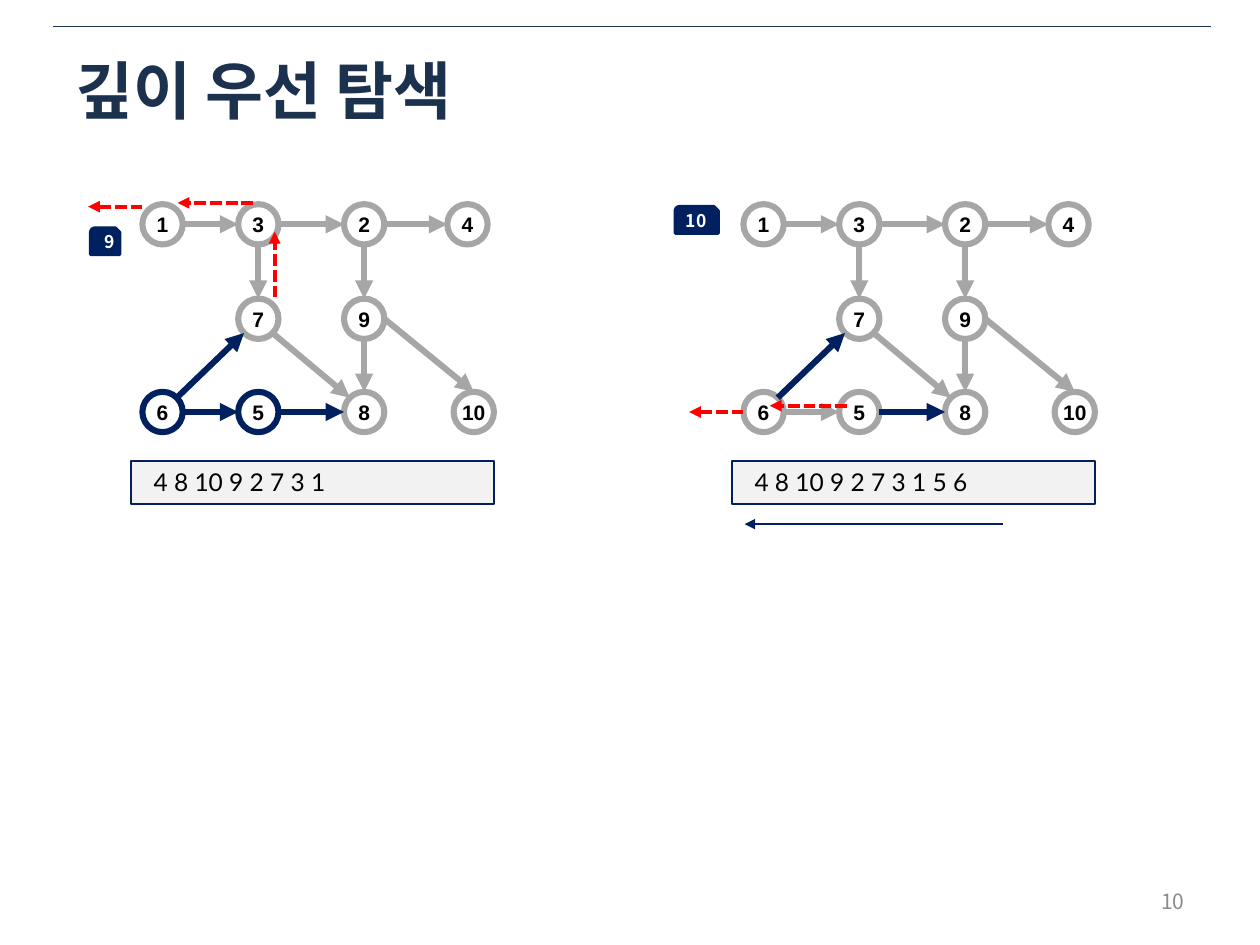
from math import hypot

from lxml import etree
from pptx import Presentation
from pptx import util as u
from pptx.dml.color import RGBColor
from pptx.enum import dml, shapes, text
from pptx.oxml.ns import qn

COLORS = {
    "title": "1C314E", "navy": "002060", "gray": "A6A6A6", "red": "FF0000",
    "box": "F2F2F2", "number": "8C8C8C", "black": "000000", "white": "FFFFFF",
}
KOREAN = "Noto Sans CJK KR"
RADIUS = 0.16

# Node centres
COLUMNS = (1.29, 2.05, 2.89)
ROWS = (1.78, 2.53, 3.27)
NODES = {
    "3": (COLUMNS[1], ROWS[0]), "7": (COLUMNS[1], ROWS[1]),
    "9": (COLUMNS[2], ROWS[1]), "1": (COLUMNS[0], ROWS[0]),
    "4": (3.71, ROWS[0]), "2": (COLUMNS[2], ROWS[0]),
    "5": (COLUMNS[1], ROWS[2]), "6": (COLUMNS[0], ROWS[2]),
    "10": (3.76, ROWS[2]), "8": (COLUMNS[2], ROWS[2]),
}
# Each edge leaves and enters a circle on the given side
EAST, WEST, NORTH, SOUTH = (1, 0), (-1, 0), (0, -1), (0, 1)
EDGES = [
    ("3", EAST, "2", WEST), ("2", EAST, "4", WEST), ("1", EAST, "3", WEST),
    ("3", SOUTH, "7", NORTH), ("2", SOUTH, "9", NORTH),
    ("6", (1, -1), "7", (-1, 1)), ("6", EAST, "5", WEST),
    ("7", (1, 1), "8", (-1, -1)), ("9", EAST, "10", NORTH),
    ("5", EAST, "8", WEST), ("9", SOUTH, "8", NORTH),
]
# The two steps of the search; positions are relative to the graph
STEPS = [
    {
        "left": 0, "label": "9", "badge": (0.72, 1.81, 0.23, 0.21), "inset": 0.1,
        "order": "4 8 10 9 2 7 3 1",
        "navy_nodes": {"5", "6"}, "navy_edges": {"67", "65", "58"},
        "returns": [((2.18, 2.36), (2.18, 1.84)), ((2.01, 1.61), (1.41, 1.61)),
                    ((1.13, 1.64), (0.7, 1.64))],
    },
    {
        "left": 4.77, "label": "10", "badge": (0.59, 1.64, 0.34, 0.21), "inset": 0.04,
        "order": "4 8 10 9 2 7 3 1 5 6",
        "navy_nodes": set(), "navy_edges": {"67", "58"},
        "returns": [((1.95, 3.22), (1.34, 3.22)), ((1.13, 3.27), (0.7, 3.27))],
    },
]


class Canvas:
    def __init__(self, slide):
        self.slide = slide

    def color(self, name):
        return RGBColor.from_string(COLORS[name])

    def add_words(self, shape, words, size, font, color, bold=False,
                  align=text.PP_ALIGN.LEFT, anchor=text.MSO_ANCHOR.MIDDLE, inset=0.1):
        frame = shape.text_frame
        frame.word_wrap = True
        frame.vertical_anchor = anchor
        frame.margin_left = frame.margin_right = u.Inches(inset)
        paragraph = frame.paragraphs[0]
        paragraph.alignment = align
        run = paragraph.add_run()
        run.text = words
        run.font.size = u.Pt(size)
        run.font.bold = bold
        run.font.name = font
        run.font.color.rgb = self.color(color)
        etree.SubElement(run.font._element, qn("a:ea")).set("typeface", font)
        return paragraph

    def label(self, box, *words, **style):
        shape = self.slide.shapes.add_textbox(*map(u.Inches, box))
        self.add_words(shape, *words, **style)

    def shape(self, kind, box, fill, line, width, parent=None):
        shape = (parent or self.slide).shapes.add_shape(kind, *map(u.Inches, box))
        shape.shadow.inherit = False
        if fill:
            shape.fill.solid()
            shape.fill.fore_color.rgb = self.color(fill)
        else:
            shape.fill.background()
        shape.line.color.rgb = self.color(line)
        shape.line.width = u.Pt(width)
        return shape

    def line(self, start, end, color, width, arrow=True, dashed=False, parent=None):
        connector = (parent or self.slide).shapes.add_connector(
            shapes.MSO_CONNECTOR.STRAIGHT, *map(u.Inches, (*start, *end)))
        connector.line.color.rgb = self.color(color)
        connector.line.width = u.Pt(width)
        if dashed:
            connector.line.dash_style = dml.MSO_LINE.SQUARE_DOT
        properties = connector._element.spPr
        if arrow:
            etree.SubElement(properties.find(qn("a:ln")), qn("a:tailEnd")).set("type", "triangle")
        etree.SubElement(properties, qn("a:effectLst"))

    def node(self, group, name, center, color):
        x, y = center
        box = (x - RADIUS, y - RADIUS, 2 * RADIUS, 2 * RADIUS)
        circle = self.shape(shapes.MSO_SHAPE.OVAL, box, None, color, 3.5, group)
        self.add_words(circle, name, 12, "Arial", "black", bold=True,
                       align=text.PP_ALIGN.CENTER, inset=0)

    def graph(self, left, navy_nodes, navy_edges):
        group = self.slide.shapes.add_group_shape()
        centers = {name: (left + x, y) for name, (x, y) in NODES.items()}
        for name, center in centers.items():
            self.node(group, name, center, "navy" if name in navy_nodes else "gray")

        def site(name, side):
            scale = RADIUS / hypot(*side)
            return tuple(c + scale * d for c, d in zip(centers[name], side))

        for source, out_side, target, in_side in EDGES:
            color = "navy" if source + target in navy_edges else "gray"
            self.line(site(source, out_side), site(target, in_side), color, 3.5, parent=group)

    def visit_order(self, left, order):
        box = self.shape(shapes.MSO_SHAPE.RECTANGLE, (left + 1.04, 3.66, 2.88, 0.34),
                         "box", "navy", 1.5)
        paragraph = self.add_words(box, order, 14, "Lato", "black", anchor=text.MSO_ANCHOR.TOP)
        paragraph.space_before = paragraph.space_after = u.Pt(2)
        indent = paragraph._p.get_or_add_pPr()
        indent.set("marL", str(u.Inches(0.08)))
        indent.set("indent", "0")
        box.text_frame.auto_size = text.MSO_AUTO_SIZE.SHAPE_TO_FIT_TEXT

    def badge(self, left, box, words, inset):
        shape = self.shape(shapes.MSO_SHAPE.SNIP_ROUND_RECTANGLE,
                           (left + box[0], *box[1:]), "navy", "navy", 2)
        self.add_words(shape, words, 10, KOREAN, "white", bold=True,
                       align=text.PP_ALIGN.CENTER, inset=inset)


def main():
    presentation = Presentation()
    presentation.slide_width = u.Inches(10)
    presentation.slide_height = u.Inches(7.5)
    canvas = Canvas(presentation.slides.add_slide(presentation.slide_layouts[6]))

    # Rule, page number and title
    canvas.line((0.42, 0.21), (9.61, 0.21), "title", 0.25, arrow=False)
    canvas.label((7.17, 6.95, 2.33, 0.4), "10", 12, KOREAN, "number",
                 align=text.PP_ALIGN.RIGHT)
    canvas.label((0.5, 0.33, 9, 0.75), "깊이 우선 탐색", 36, KOREAN, "title", bold=True)

    # Search steps
    for step in STEPS:
        left = step["left"]
        canvas.graph(left, step["navy_nodes"], step["navy_edges"])
        canvas.visit_order(left, step["order"])
        canvas.badge(left, step["badge"], step["label"], step["inset"])
        for (x1, y1), (x2, y2) in step["returns"]:
            canvas.line((left + x1, y1), (left + x2, y2), "red", 2.25, dashed=True)

    # Reading direction of the finished order
    canvas.line((7.96, 4.16), (5.91, 4.16), "navy", 0.75)
    presentation.save("out.pptx")


if __name__ == "__main__":
    main()
